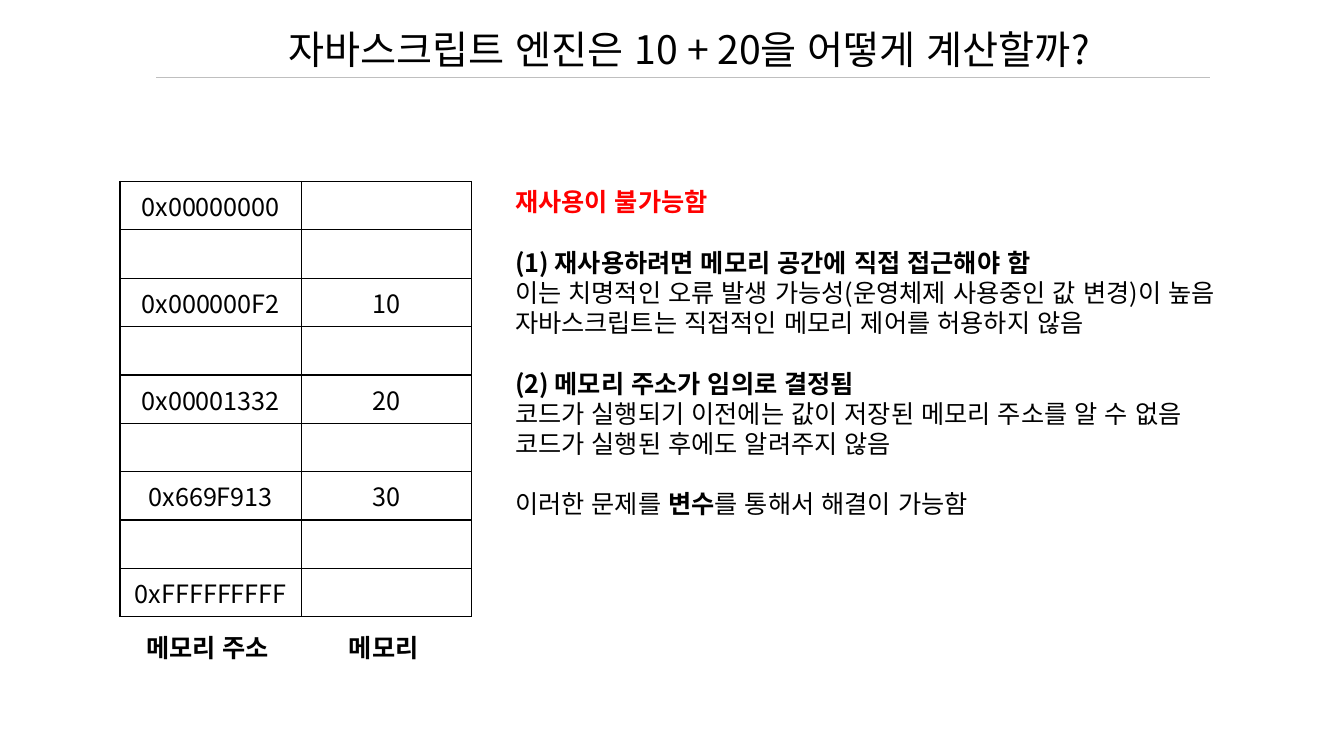
"""Build a slide on how a JavaScript engine stores 10 + 20 in memory."""
from lxml import etree
from pptx import Presentation
from pptx.dml.color import RGBColor
from pptx.enum.lang import MSO_LANGUAGE_ID as Lang
from pptx.enum.shapes import MSO_CONNECTOR as Conn
from pptx.enum.text import MSO_ANCHOR as Anchor, PP_ALIGN as Align
from pptx.oxml.ns import qn
from pptx.util import Inches, Pt

BLACK = RGBColor(0, 0, 0)
RED = RGBColor(255, 0, 0)
GRAY = RGBColor(191, 191, 191)
FONT = "Noto Sans CJK KR"
LINE = Pt(21.6)


def add_run(p, text, color=BLACK, **extra):
    r = p.add_run()
    r.text = text
    style = {"name": FONT, "size": Pt(18), "bold": False, "language_id": Lang.KOREAN}
    for key, value in (style | extra).items():
        setattr(r.font, key, value)
    r.font.color.rgb = color
    etree.SubElement(r.font._element, qn("a:ea"), typeface=FONT)


def set_frame(sp, left, top, width, height):
    sp.left, sp.top, sp.width, sp.height = map(Inches, (left, top, width, height))
    tf = sp.text_frame
    tf.word_wrap = True
    tf.vertical_anchor = Anchor.TOP
    tf.margin_left = tf.margin_right = Inches(0.1)
    tf.margin_top = tf.margin_bottom = Inches(0.05)
    return tf


prs = Presentation()
prs.slide_width, prs.slide_height = Inches(13.33), Inches(7.5)
s = prs.slides.add_slide(prs.slide_layouts[5])

rule = s.shapes.add_connector(
    Conn.STRAIGHT, Inches(1.55), Inches(0.77), Inches(12), Inches(0.77))
rule.line.color.rgb = GRAY
rule.line.width = Pt(0.5)
etree.SubElement(rule._element.spPr, qn("a:effectLst"))

p = set_frame(s.shapes.title, 1.67, 0.17, 10.33, 0.57).paragraphs[0]
p.alignment = Align.CENTER
p.line_spacing = Pt(36)
add_run(p, "자바스크립트 엔진은 10 + 20을 어떻게 계산할까?", size=Pt(28))

memory = [
    ("0x00000000", ""), ("", ""),
    ("0x000000F2", "10"), ("", ""),
    ("0x00001332", "20"), ("", ""),
    ("0x669F913", "30"), ("", ""),
    ("0xFFFFFFFFF", ""),
]
table = s.shapes.add_table(
    len(memory), 2, Inches(1.19), Inches(1.8), Inches(3.49), Inches(4.32)).table
table.first_row = table.horz_banding = False
for col, width in zip(table.columns, (1.8, 1.69)):
    col.width = Inches(width)
for row, values in zip(table.rows, memory):
    row.height = Inches(0.48)
    for cell, value in zip(row.cells, values):
        cell.vertical_anchor = Anchor.MIDDLE
        tcPr = cell._tc.get_or_add_tcPr()
        for side in ("lnL", "lnR", "lnT", "lnB"):
            ln = etree.SubElement(tcPr, qn(f"a:{side}"), w=str(Pt(1)))
            fill = etree.SubElement(ln, qn("a:solidFill"))
            etree.SubElement(fill, qn("a:srgbClr"), val=str(BLACK))
        cell.fill.background()
        if value:
            p = cell.text_frame.paragraphs[0]
            p.alignment = Align.CENTER
            add_run(p, value)

for left, label, align in ((1.35, "메모리 주소", Align.LEFT), (3.03, "메모리", Align.CENTER)):
    p = set_frame(s.shapes.add_textbox(0, 0, 0, 0), left, 6.22, 1.55, 0.41).paragraphs[0]
    p.alignment = align
    p.line_spacing = LINE
    add_run(p, label, bold=True)

sections = [
    [[("재사용이 불가능함", True, RED)]],
    [[("(1) 재사용하려면 메모리 공간에 직접 접근해야 함", True, BLACK)],
     [("이는 치명적인 오류 발생 가능성(운영체제 사용중인 값 변경)이 높음", False, BLACK)],
     [("자바스크립트는 직접적인 메모리 제어를 허용하지 않음", False, BLACK)]],
    [[("(2) 메모리 주소가 임의로 결정됨", True, BLACK)],
     [("코드가 실행되기 이전에는 값이 저장된 메모리 주소를 알 수 없음", False, BLACK)],
     [("코드가 실행된 후에도 알려주지 않음", False, BLACK)]],
    [[("이러한 문제를 ", False, BLACK), ("변수", True, BLACK),
      ("를 통해서 해결이 가능함", False, BLACK)]],
]
tf = set_frame(s.shapes.add_textbox(0, 0, 0, 0), 5.01, 1.8, 8.04, 3.43)
for i, section in enumerate(sections):
    for j, runs in enumerate(section):
        p = tf.add_paragraph() if i or j else tf.paragraphs[0]
        p.line_spacing = LINE
        if i and not j:
            p.space_before = LINE
        for text, bold, color in runs:
            add_run(p, text, color, bold=bold)

prs.save("out.pptx")
